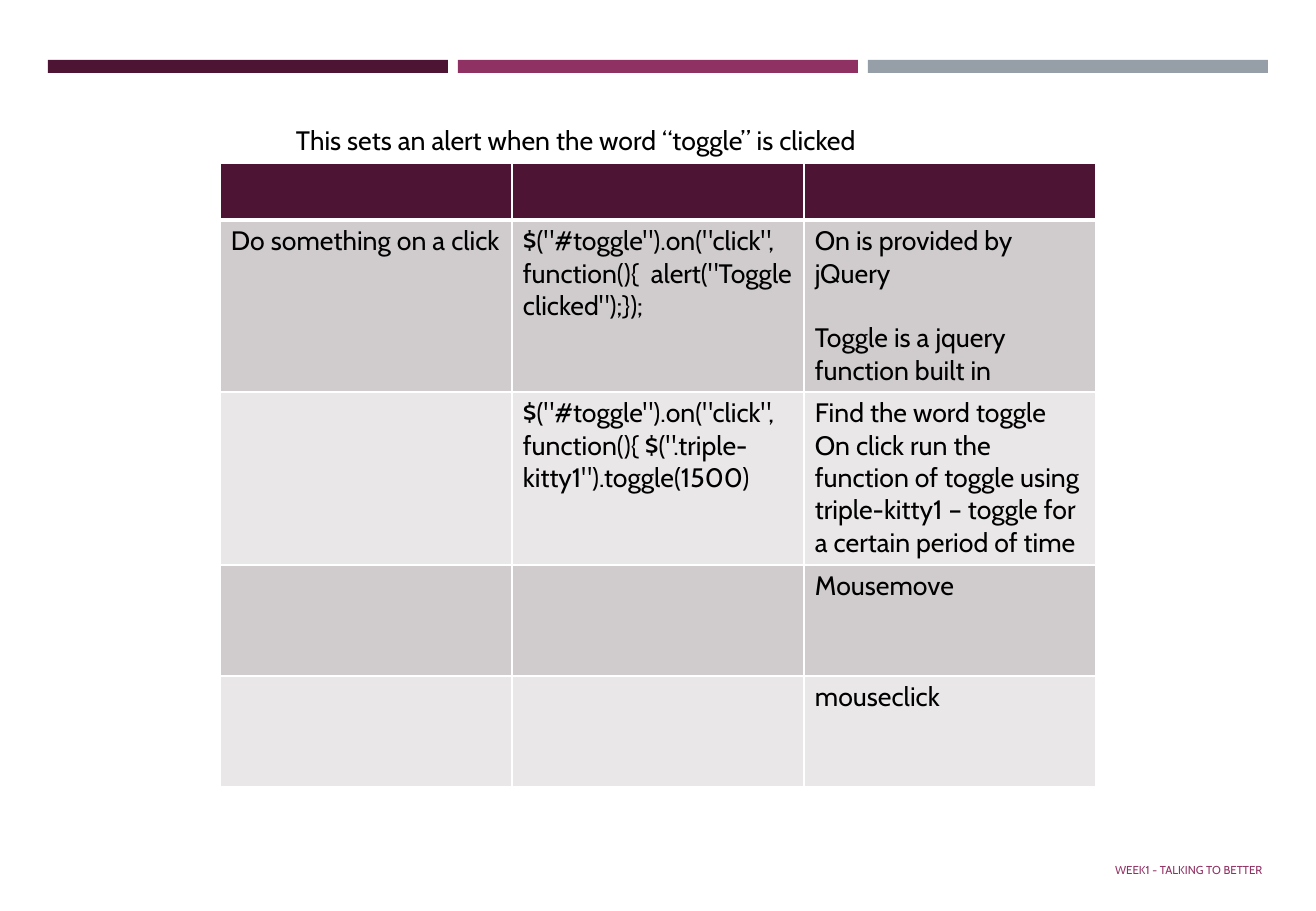
from lxml.etree import SubElement
from pptx import Presentation
from pptx.dml.color import RGBColor
from pptx.enum.shapes import MSO_SHAPE
from pptx.enum.text import MSO_ANCHOR, MSO_AUTO_SIZE, PP_ALIGN
from pptx.oxml.ns import qn
from pptx.util import Pt

PX = 7526
FONT = "Cabin"
PLUM = RGBColor(0x4D, 0x14, 0x34)
MAGENTA = RGBColor(0x90, 0x31, 0x63)
GREY = RGBColor(0x96, 0x9F, 0xA7)
BLACK = RGBColor(0, 0, 0)
WHITE = RGBColor(0xFF, 0xFF, 0xFF)
DARK_BAND = RGBColor(0xD0, 0xCC, 0xCE)
LIGHT_BAND = RGBColor(0xE9, 0xE7, 0xE8)


def write_text(text_frame, lines, size, color):
    text_frame.margin_left = text_frame.margin_right = 12 * PX
    text_frame.margin_top = text_frame.margin_bottom = 6 * PX
    text_frame.text = "\n".join(lines)
    for paragraph in text_frame.paragraphs:
        paragraph.alignment = PP_ALIGN.LEFT
        paragraph.font.name = FONT
        paragraph.font.size = Pt(size)
        paragraph.font.color.rgb = color


def add_border(cell, side, points):
    line = SubElement(cell._tc.get_or_add_tcPr(), qn(f"a:{side}"), w=str(Pt(points)))
    fill = SubElement(line, qn("a:solidFill"))
    SubElement(fill, qn("a:srgbClr"), val=str(WHITE))


presentation = Presentation()
presentation.slide_width = 1316 * PX
presentation.slide_height = 911 * PX
slide = presentation.slides.add_slide(presentation.slide_layouts[5])

for index, color in enumerate((PLUM, MAGENTA, GREY)):
    bar = slide.shapes.add_shape(
        MSO_SHAPE.RECTANGLE, (48 + 410 * index) * PX, 60 * PX, 400 * PX, 13 * PX)
    bar.shadow.inherit = False
    bar.fill.solid()
    bar.fill.fore_color.rgb = color
    bar.line.fill.background()

title = slide.shapes.title
title.left, title.top, title.width, title.height = 284 * PX, 118 * PX, 586 * PX, 45 * PX
write_text(title.text_frame, ["This sets an alert when the word “toggle” is clicked"], 15.8, BLACK)
title.text_frame.word_wrap = False
title.text_frame.auto_size = MSO_AUTO_SIZE.NONE
title.text_frame.vertical_anchor = MSO_ANCHOR.TOP

footer = slide.shapes.add_textbox(1103 * PX, 850 * PX, 191 * PX, 39 * PX)
write_text(footer.text_frame, ["WEEK1 - TALKING TO BETTER"], 6.8, MAGENTA)
footer.text_frame.word_wrap = True
footer.text_frame.vertical_anchor = MSO_ANCHOR.MIDDLE

rows = [
    (57, PLUM, [[], [], []]),
    (172, DARK_BAND, [
        ["Do something on a click"],
        ['$("#toggle").on("click", function(){  alert("Toggle clicked");});'],
        ["On is provided by jQuery", "Toggle is a jquery function built in"],
    ]),
    (173, LIGHT_BAND, [
        [],
        ['$("#toggle").on("click", function(){ $(".triple-kitty1").toggle(1500)'],
        ["Find the word toggle",
         "On click run the function of toggle using triple-kitty1 – toggle for "
         "a certain period of time"],
    ]),
    (111, DARK_BAND, [[], [], ["Mousemove"]]),
    (111, LIGHT_BAND, [[], [], ["mouseclick"]]),
]
table = slide.shapes.add_table(
    len(rows), 3, 220 * PX, 163 * PX, 876 * PX, 624 * PX).table
for column in table.columns:
    column.width = 292 * PX

for row_index, (height, color, texts) in enumerate(rows):
    table.rows[row_index].height = height * PX
    for column_index, lines in enumerate(texts):
        cell = table.cell(row_index, column_index)
        cell.margin_left = cell.margin_right = 11 * PX
        cell.margin_top = cell.margin_bottom = 5 * PX
        text_frame = cell.text_frame
        text_frame.text = "\n".join(lines)
        for paragraph in text_frame.paragraphs:
            paragraph.font.name = FONT
            paragraph.font.size = Pt(15.8)
            paragraph.font.color.rgb = BLACK
        for side in ("lnL", "lnR", "lnT", "lnB"):
            header_edge = (row_index, side) in ((0, "lnB"), (1, "lnT"))
            add_border(cell, side, 3 if header_edge else 1)
        cell.fill.solid()
        cell.fill.fore_color.rgb = color

table.cell(1, 2).text_frame.paragraphs[1].space_before = Pt(19.2)

presentation.save("out.pptx")
